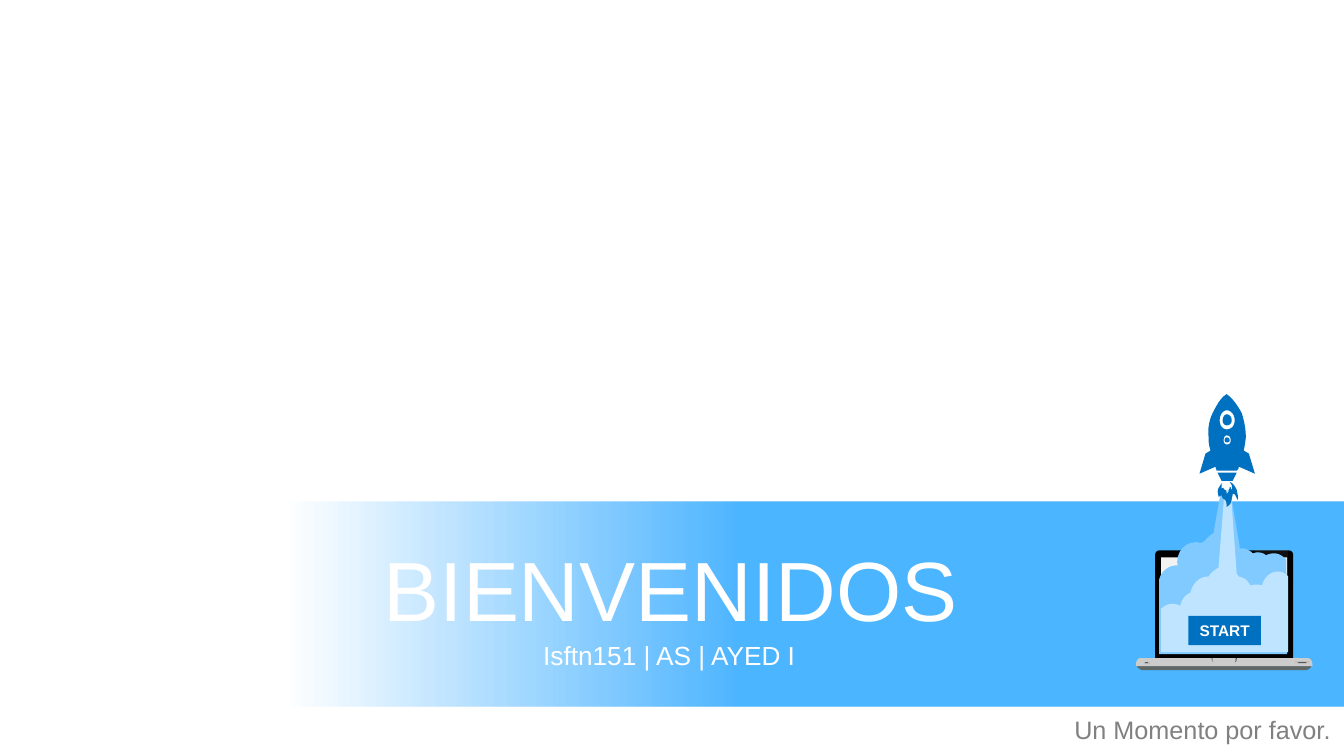
from copy import deepcopy
from dataclasses import dataclass

from lxml.etree import SubElement
from pptx import Presentation
from pptx.dml.color import RGBColor
from pptx.enum.shapes import MSO_SHAPE
from pptx.enum.text import MSO_ANCHOR, PP_ALIGN
from pptx.oxml.ns import qn
from pptx.util import Pt


@dataclass(frozen=True)
class Theme:
    font: str = "Arial"
    title_size: float = 60
    subtitle_size: float = 18.7
    notice_size: float = 18
    button_size: float = 11
    white: str = "FFFFFF"
    notice: str = "808080"
    band: str = "0195FF"
    rocket: str = "0070C0"
    smoke_back: str = "80CAFF"
    smoke_front: str = "BFE4FF"
    bezel: str = "000000"
    screen: str = "F2F2F2"
    deck: str = "CCCCCC"
    deck_shadow: str = "5F6767"
    notch: str = "4D4D4D"
    port: str = "BFBFBF"
    slot: str = "595959"
    glare: str = "999999"


THEME = Theme()
UNIT = 0.72
CURVE_STEPS = 6

DECK_SHADOW = """M 170 274 C 170 274 174 273 175 270 C 175 268 175 268 174 268
L 4 268 C 3 268 2 269 2 270 C 3 272 5 273 7 274"""
DECK = """M 5 262 L 172 262 C 174 262 176 265 176 268 L 176 269
C 176 269 177 270 175 270 L 3 270 C 2 270 1 270 1 269 L 1 268 C 1 265 3 262 5 262"""
NOTCH = """M 101 262 C 101 265 100 266 99 266 C 100 265 100 265 100 262
M 76 262 L 77 262 C 77 262 76 265 78 266 C 76 265 76 262 76 262"""
GLARE = "M 120 154 L 152 154 L 152 257 L 68 257"
SMOKE_BACK = """M 85 98 L 95 98 L 104 152 L 104 153 L 105 153
C 110 153 114 155 117 158 C 118 158 120 157 121 157 C 125 157 128 158 130 160
C 132 159 135 158 138 158 C 143 158 147 161 150 164 L 151 258 L 24 258 L 24 184
C 26 176 33 170 41 170 L 43 170 C 42 169 42 168 42 166 C 42 156 50 147 60 147
C 62 147 63 147 65 148 L 69 146 C 71 143 74 141 76 139 L 78 138"""
SMOKE_FRONT = """M 89 95 L 95 95 L 101 178 L 103 181 C 111 183 111 185 115 190
C 117 189 119 189 121 189 C 123 189 124 189 126 190 C 128 182 134 176 142 176
C 146 176 150 178 152 181 L 152 256 L 26 256 L 26 213 C 29 210 33 208 37 208
C 40 208 43 209 45 210 C 46 204 50 199 55 197 C 57 188 64 181 72 181 L 73 181
C 75 178 77 176 80 174 L 83 172"""
FLAME = """M 94 87 C 97 88 99 91 101 95 C 101 97 103 102 102 105
C 99 100 100 99 97 99 C 97 101 96 103 96 104 C 95 109 95 109 91 112
C 91 106 90 105 88 104 C 87 103 86 102 86 100 C 85 101 84 101 83 102
C 83 100 81 97 83 93 C 84 92 85 89 87 88 L 86 89 C 86 91 86 93 86 94
C 87 93 87 93 88 93 C 88 94 88 94 89 95 C 90 95 91 96 91 99
C 93 97 93 97 93 95 C 94 94 94 93 94 92 C 95 92 95 93 96 95
C 97 94 96 91 96 90 C 95 89 95 88 94 87"""
NOZZLE = "M 82 78 L 101 78 L 97 86 L 86 86"
PORTHOLES = """M 91 43 C 93 43 94 44 94 46 C 94 47 93 48 91 48 C 90 48 89 47 89 46 C 89 44 90 43 91 43
M 91 41 C 94 41 95 43 95 46 C 95 48 94 50 91 50 C 89 50 88 48 88 46 C 88 43 89 41 91 41
M 91 20 C 94 20 96 23 96 26 C 96 29 94 31 91 31 C 89 31 87 29 87 26 C 87 23 89 20 91 20
M 91 16 C 96 16 99 21 99 26 C 99 31 96 35 91 35 C 87 35 84 31 84 26 C 84 21 87 16 91 16"""
HULL = """M 91 0 C 97 4 103 13 106 19 C 108 25 110 34 110 42 C 110 45 109 50 108 56 L 113 59
L 119 79 L 103 72 C 103 74 102 75 101 76 L 81 76 C 81 75 80 74 80 72 L 64 79 L 70 59
L 75 56 C 73 50 73 45 73 42 C 72 34 74 25 77 19 C 80 13 85 3 91 0"""


def paint(shape, color):
    shape.shadow.inherit = False
    shape.fill.solid()
    shape.fill.fore_color.rgb = RGBColor.from_string(color)
    shape.line.fill.background()
    return shape


def set_opacity(color_element, percent):
    SubElement(color_element, qn("a:alpha")).set("val", str(percent * 1000))


def write(shape, text, size, color, align=PP_ALIGN.CENTER, anchor=MSO_ANCHOR.MIDDLE, wrap=True, bold=False):
    frame = shape.text_frame
    frame.text = text
    frame.word_wrap = wrap
    frame.vertical_anchor = anchor
    paragraph = frame.paragraphs[0]
    paragraph.alignment = align
    font = paragraph.font
    font.name, font.size, font.bold = THEME.font, Pt(size), bold
    font.color.rgb = RGBColor.from_string(color)


def contours(outline):
    for contour in outline.split("M")[1:]:
        tokens = contour.split()
        points = [(float(tokens[0]), float(tokens[1]))]
        i = 2
        while i < len(tokens):
            count = 6 if tokens[i] == "C" else 2
            values = [float(v) for v in tokens[i + 1:i + 1 + count]]
            corners = [points[-1], *zip(values[::2], values[1::2])]
            if count == 2:
                points.append(corners[1])
            else:
                for step in range(1, CURVE_STEPS + 1):
                    t = step / CURVE_STEPS
                    weights = ((1 - t) ** 3, 3 * t * (1 - t) ** 2, 3 * t * t * (1 - t), t ** 3)
                    points.append(tuple(sum(w * c[axis] for w, c in zip(weights, corners)) for axis in (0, 1)))
            i += count + 1
        yield points


def add_band(slide, left, top, width, height):
    band = slide.shapes.add_shape(MSO_SHAPE.RECTANGLE, Pt(left), Pt(top), Pt(width), Pt(height))
    paint(band, THEME.band)
    band.fill.gradient()
    band.fill.gradient_angle = 0
    for stop, position in zip(band.fill.gradient_stops, (0, 0.42)):
        stop.color.rgb = RGBColor.from_string(THEME.band)
        stop.position = position
    clear, tinted = band.element.xpath(".//a:gs")
    set_opacity(clear[0], 0)
    set_opacity(tinted[0], 70)
    end = deepcopy(tinted)
    end.set("pos", "100000")
    tinted.addnext(end)
    slide.shapes.title.element.addprevious(band.element)


def add_greeting(slide, left, top, width):
    title = slide.shapes.title
    title.left, title.top, title.width, title.height = Pt(left), Pt(top), Pt(width), Pt(79.9)
    write(title, "BIENVENIDOS", THEME.title_size, THEME.white)
    subtitle = slide.shapes.add_textbox(Pt(left + 1.4), Pt(top + 72.7), Pt(width), Pt(30.2))
    write(subtitle, "Isftn151 | AS | AYED I ", THEME.subtitle_size, THEME.white)


def add_notice(slide, left, top, width, height):
    notice = slide.shapes.add_textbox(Pt(left), Pt(top), Pt(width), Pt(height))
    write(notice, "Un Momento por favor.", THEME.notice_size, THEME.notice,
          PP_ALIGN.LEFT, MSO_ANCHOR.TOP, wrap=False)


def add_launch(slide, left, top):
    def place(x, y):
        return Pt(left + x * UNIT), Pt(top + y * UNIT)

    def draw(outline, color):
        builder = None
        for points in contours(outline):
            start, *rest = [place(*point) for point in points]
            if builder is None:
                builder = slide.shapes.build_freeform(*start, scale=1.0)
            else:
                builder.move_to(*start)
            builder.add_line_segments(rest, close=True)
        return paint(builder.convert_to_shape(), color)

    def block(x, y, width, height, color, rounding=0):
        kind = MSO_SHAPE.ROUNDED_RECTANGLE if rounding else MSO_SHAPE.RECTANGLE
        shape = slide.shapes.add_shape(kind, *place(x, y), Pt(width * UNIT), Pt(height * UNIT))
        if rounding:
            shape.adjustments[0] = rounding
        return paint(shape, color)

    draw(DECK_SHADOW, THEME.deck_shadow)
    block(20, 155, 137, 110, THEME.bezel, 0.04)
    block(26, 162, 125, 94, THEME.screen)
    draw(DECK, THEME.deck)
    draw(NOTCH, THEME.notch)
    for x, y, width, height, color in (
        (9, 266, 6, 2, THEME.port), (10, 266, 3, 1, THEME.slot),
        (159, 265, 14, 2, THEME.port), (162, 266, 8, 1, THEME.slot),
    ):
        block(x, y, width, height, color, 0.28)
    glare = draw(GLARE, THEME.glare)
    set_opacity(glare.element.xpath("./p:spPr/a:solidFill/a:srgbClr")[0], 10)
    draw(SMOKE_BACK, THEME.smoke_back)
    draw(SMOKE_FRONT, THEME.smoke_front)
    draw(" ".join((FLAME, NOZZLE, PORTHOLES, HULL)), THEME.rocket)
    start_button = block(53, 220, 72, 29, THEME.rocket)
    write(start_button, "START", THEME.button_size, THEME.white, bold=True)


def main():
    deck = Presentation()
    deck.slide_width, deck.slide_height = Pt(960), Pt(540)
    slide = deck.slides.add_slide(deck.slide_layouts[5])
    add_band(slide, 207.4, 358.6, 768.2, 146.2)
    add_greeting(slide, -0.7, 380.2, 959.8)
    add_notice(slide, 760.3, 506.9, 199.4, 28.8)
    add_launch(slide, 810.7, 281.5)
    deck.save("out.pptx")


if __name__ == "__main__":
    main()
